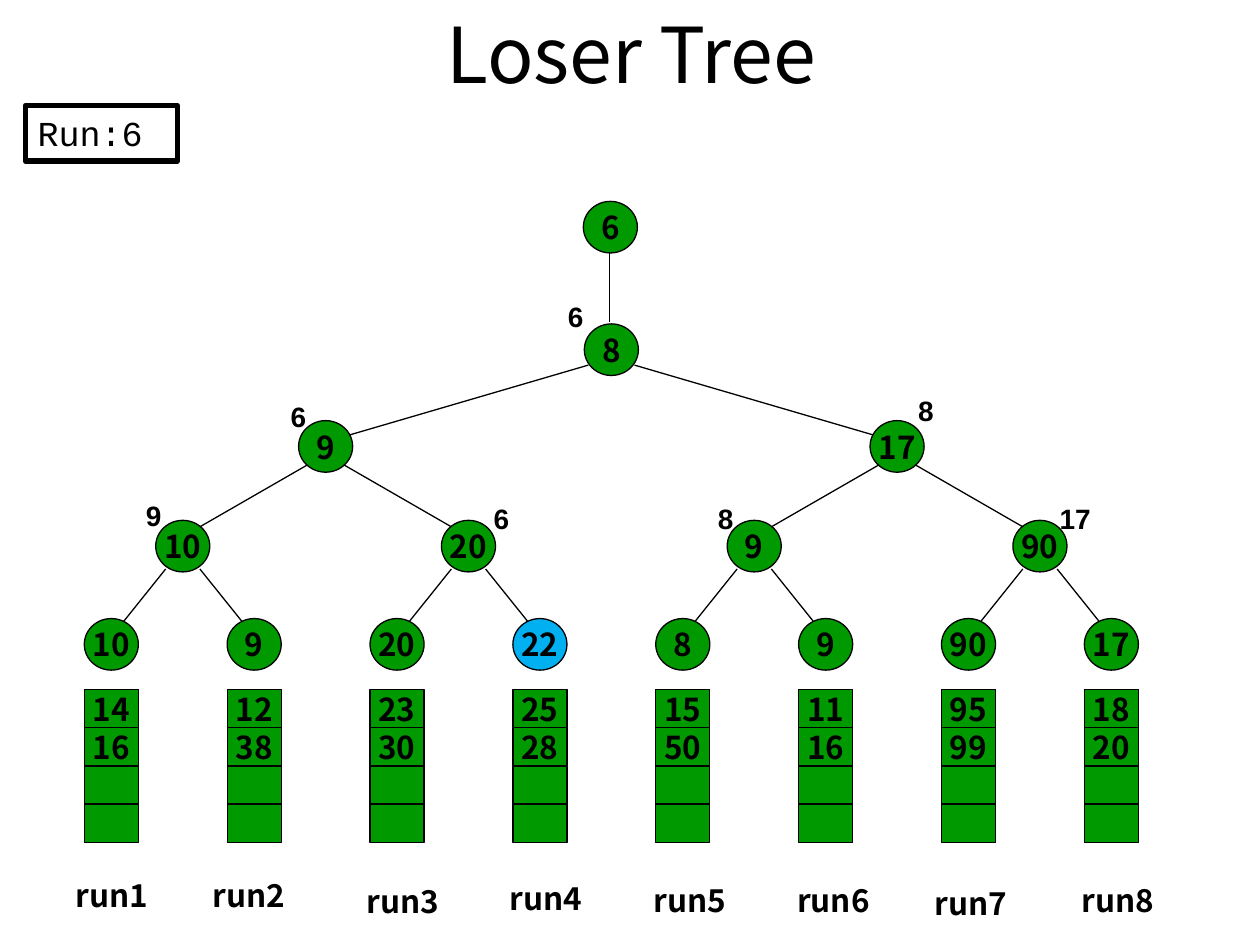
from pptx import Presentation
from pptx.dml.color import RGBColor
from pptx.enum.shapes import MSO_CONNECTOR, MSO_SHAPE
from pptx.enum.text import MSO_ANCHOR, PP_ALIGN
from pptx.oxml.ns import qn
from pptx.util import Cm, Pt
from lxml import etree

SANS = "Noto Sans CJK KR"
BLACK, GREEN, BLUE = "000000", "009900", "00B0F0"
LEFT, PITCH = 1.7, 2.88
NODE_W, NODE_H = 1.09, 1.04
CELL_TOP, CELL_H, CELLS = 13.9, 0.77, 4

LEVEL_TOPS = [12.47, 10.49, 8.48, 6.53]
LEVELS = [
    [10, 9, 20, 22, 8, 9, 90, 17],
    [10, 20, 9, 90],
    [9, 17],
    [8],
]
CHANGED_LEAF = 3
# Parent inset and drop, then child inset and drop
EDGE_ENDS = {1: (0.2, 0.98, 0.3, 0.06), 2: (0.18, 0.89, 0.2, 0.13), 3: (0.08, 0.83, 0.07, 0.29)}
QUEUES = [(14, 16), (12, 38), (23, 30), (25, 28), (15, 50), (11, 16), (95, 99), (18, 20)]
RUN_LABELS = [(1.27, 17.53), (4.04, 17.53), (7.14, 17.65), (10.03, 17.6),
              (12.93, 17.63), (15.82, 17.63), (18.59, 17.7), (21.56, 17.63)]
WINNERS = [("6", 5.61, 7.92), ("8", 18.26, 7.8), ("9", 2.69, 9.93), ("6", 9.7, 9.98),
           ("8", 14.22, 9.98), ("17", 21.11, 9.98), ("6", 11.2, 5.92)]


def color(hex_text):
    return RGBColor.from_string(hex_text)


def write(sp, text, size, font=SANS, bold=True, align=PP_ALIGN.LEFT,
          anchor=MSO_ANCHOR.TOP, wrap=True):
    tf = sp.text_frame
    tf.word_wrap = wrap
    tf.vertical_anchor = anchor
    tf.text = text
    p = tf.paragraphs[0]
    p.alignment = align
    for r in p.runs:
        r.font.name = font
        r.font.size = Pt(size)
        r.font.bold = bold
        r.font.color.rgb = color(BLACK)


def add_label(s, text, x, y, w, h, size, **style):
    sp = s.shapes.add_textbox(Cm(x), Cm(y), Cm(w), Cm(h))
    write(sp, text, size, **style)
    return sp


def add_box(s, kind, x, y, h, value="", fill=GREEN):
    sp = s.shapes.add_shape(kind, Cm(x), Cm(y), Cm(NODE_W), Cm(h))
    sp.shadow.inherit = False
    sp.fill.solid()
    sp.fill.fore_color.rgb = color(fill)
    sp.line.color.rgb = color(BLACK)
    sp.line.width = Pt(0.75)
    if value != "":
        write(sp, str(value), 18, align=PP_ALIGN.CENTER, anchor=MSO_ANCHOR.MIDDLE, wrap=False)


def add_line(s, x1, y1, x2, y2):
    line = s.shapes.add_connector(MSO_CONNECTOR.STRAIGHT, Cm(x1), Cm(y1), Cm(x2), Cm(y2))
    line.line.color.rgb = color(BLACK)
    line.line.width = Pt(0.75)
    etree.SubElement(line._element.spPr, qn("a:effectLst"))


def node_left(level, i):
    span = 2 ** level
    return LEFT + PITCH * (span * i + (span - 1) / 2)


def add_queues(s):
    for i, values in enumerate(QUEUES):
        for row in range(CELLS):
            value = values[row] if row < len(values) else ""
            add_box(s, MSO_SHAPE.RECTANGLE, node_left(0, i), CELL_TOP + row * CELL_H, CELL_H, value)
    for i, (x, y) in enumerate(RUN_LABELS, 1):
        add_label(s, f"run{i}", x, y, 1.98, 1.02, 18)


def add_nodes(s):
    for level, values in enumerate(LEVELS):
        for i, value in enumerate(values):
            fill = BLUE if (level, i) == (0, CHANGED_LEAF) else GREEN
            add_box(s, MSO_SHAPE.OVAL, node_left(level, i), LEVEL_TOPS[level], NODE_H, value, fill)


def add_edges(s):
    for level, (inset, drop, child_inset, child_drop) in EDGE_ENDS.items():
        y1, y2 = LEVEL_TOPS[level] + drop, LEVEL_TOPS[level - 1] + child_drop
        for i in range(len(LEVELS[level])):
            x = node_left(level, i)
            left, right = node_left(level - 1, 2 * i), node_left(level - 1, 2 * i + 1)
            add_line(s, x + inset, y1, left + NODE_W - child_inset, y2)
            add_line(s, x + NODE_W - inset, y1, right + child_inset, y2)


def main():
    prs = Presentation()
    prs.slide_width, prs.slide_height = Cm(25.4), Cm(19.05)
    s = prs.slides.add_slide(prs.slide_layouts[6])
    add_line(s, 12.29, 5.05, 12.29, 6.5)
    add_label(s, "Loser Tree", 1.3, 0, 22.86, 2.13, 44, bold=False,
              align=PP_ALIGN.CENTER, anchor=MSO_ANCHOR.MIDDLE)
    add_queues(s)
    add_nodes(s)
    add_edges(s)
    add_box(s, MSO_SHAPE.OVAL, 11.76, 4.06, NODE_H, 6)
    for text, x, y in WINNERS:
        add_label(s, text, x, y, 0.69 if len(text) == 1 else 1.19, 0.94, 16, font="Arial")
    frame = add_label(s, "Run:6", 0.51, 2.13, 3.07, 1.12, 20, font="Courier New", bold=False)
    frame.line.color.rgb = color(BLACK)
    frame.line.width = Pt(3)
    prs.save("out.pptx")


if __name__ == "__main__":
    main()
